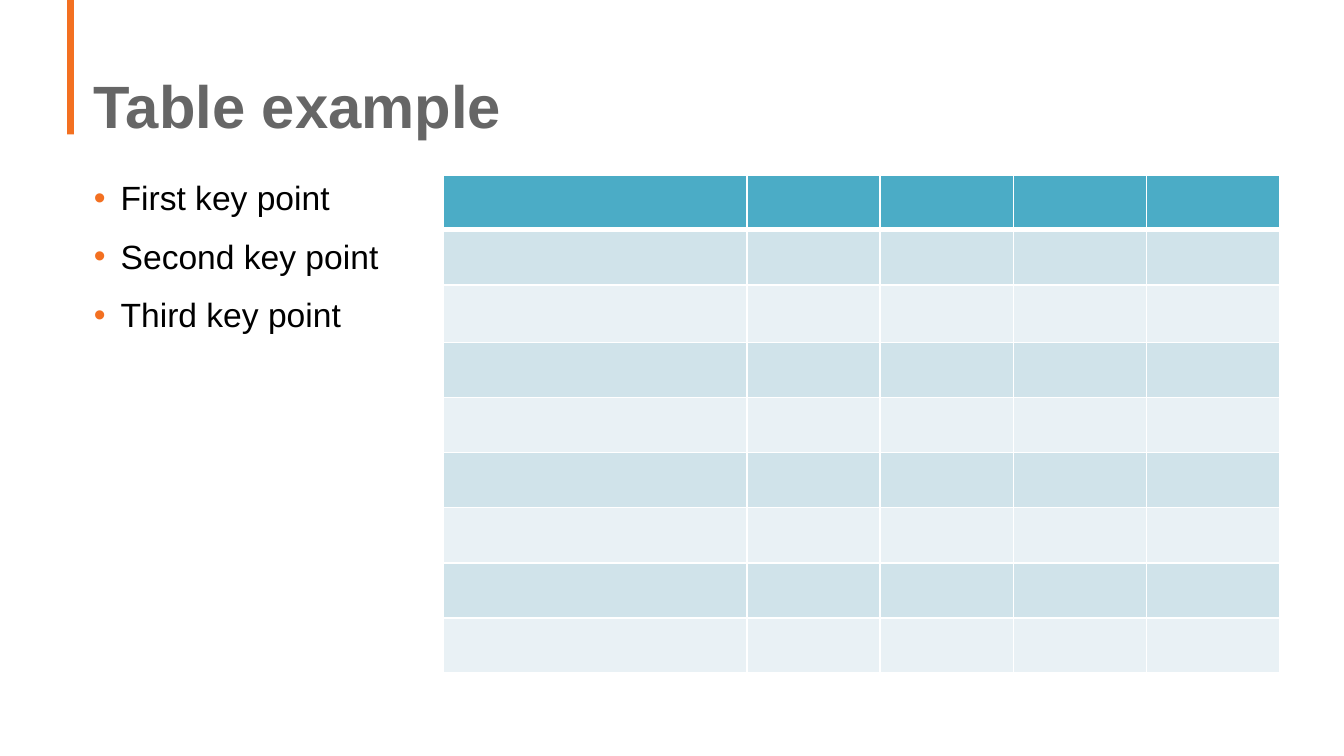
from lxml import etree
from pptx import Presentation
from pptx.dml.color import RGBColor
from pptx.enum import shapes, text
from pptx.oxml import ns
from pptx.util import Pt

ORANGE = RGBColor(0xF3, 0x70, 0x21)
GREY = RGBColor(0x66, 0x66, 0x66)
BLACK = RGBColor(0, 0, 0)
WHITE = RGBColor(255, 255, 255)
TEAL = RGBColor(0x4B, 0xAC, 0xC6)
BANDS = [RGBColor(0xE9, 0xF1, 0xF5), RGBColor(0xD0, 0xE3, 0xEA)]

deck = Presentation()
deck.slide_width, deck.slide_height = Pt(720), Pt(405)
page = deck.slides.add_slide(deck.slide_layouts[6])


def add_text(left, top, width, height, wording, size, color, bold=False):
    """Add a wrapped text box and return its text frame."""
    frame = page.shapes.add_textbox(Pt(left), Pt(top), Pt(width), Pt(height)).text_frame
    frame.word_wrap = True
    frame.text = wording
    for para in frame.paragraphs:
        para.line_spacing = 0.9
        for span in para.runs:
            span.font.name = "Arial"
            span.font.size = Pt(size)
            span.font.bold = bold
            span.font.color.rgb = color
    return frame


def add_border(cell, index, side, width):
    """Draw one white side of a table cell."""
    properties = cell._tc.get_or_add_tcPr()
    line = etree.Element(ns.qn(f"a:ln{side}"), w=str(Pt(width)))
    fill = etree.SubElement(line, ns.qn("a:solidFill"))
    etree.SubElement(fill, ns.qn("a:srgbClr"), val=str(WHITE))
    properties.insert(index, line)


# Accent bar
bar = page.shapes.add_shape(shapes.MSO_SHAPE.RECTANGLE, Pt(36), Pt(0), Pt(3.6), Pt(72))
bar.shadow.inherit = False
bar.fill.solid()
bar.fill.fore_color.rgb = ORANGE
bar.line.fill.background()

# Title
title = add_text(43.2, 7.2, 640.8, 72, "Table example", 32, GREY, bold=True)
title.vertical_anchor = text.MSO_ANCHOR.BOTTOM

# Key points
points = add_text(43.2, 93.6, 187.2, 273.6,
                  "First key point\nSecond key point\nThird key point", 18, BLACK)
for para in points.paragraphs:
    para.space_before = Pt(12)
    properties = para._p.get_or_add_pPr()
    properties.set("marL", str(Pt(14.4)))
    properties.set("indent", str(Pt(-14.4)))
    bullet_color = etree.SubElement(properties, ns.qn("a:buClr"))
    etree.SubElement(bullet_color, ns.qn("a:srgbClr"), val=str(ORANGE))
    etree.SubElement(properties, ns.qn("a:buFont"), typeface="Arial")
    etree.SubElement(properties, ns.qn("a:buChar"), char="•")

# Table with a header row and alternating bands
column_widths = [162.7] + [71.3] * 4
row_heights = [29.5] * 2 + [31] + [29.5] * 6
table = page.shapes.add_table(
    len(row_heights), len(column_widths), Pt(237.6), Pt(93.6),
    Pt(sum(column_widths)), Pt(sum(row_heights))).table
for column, width in zip(table.columns, column_widths):
    column.width = Pt(width)
for number, (row, height) in enumerate(zip(table.rows, row_heights)):
    row.height = Pt(height)
    for cell in row.cells:
        cell.fill.solid()
        cell.fill.fore_color.rgb = BANDS[number % 2] if number else TEAL
        for index, side in enumerate("LRTB"):
            under_header = (number, side) in [(0, "B"), (1, "T")]
            add_border(cell, index, side, 3 if under_header else 1)

deck.save("out.pptx")
